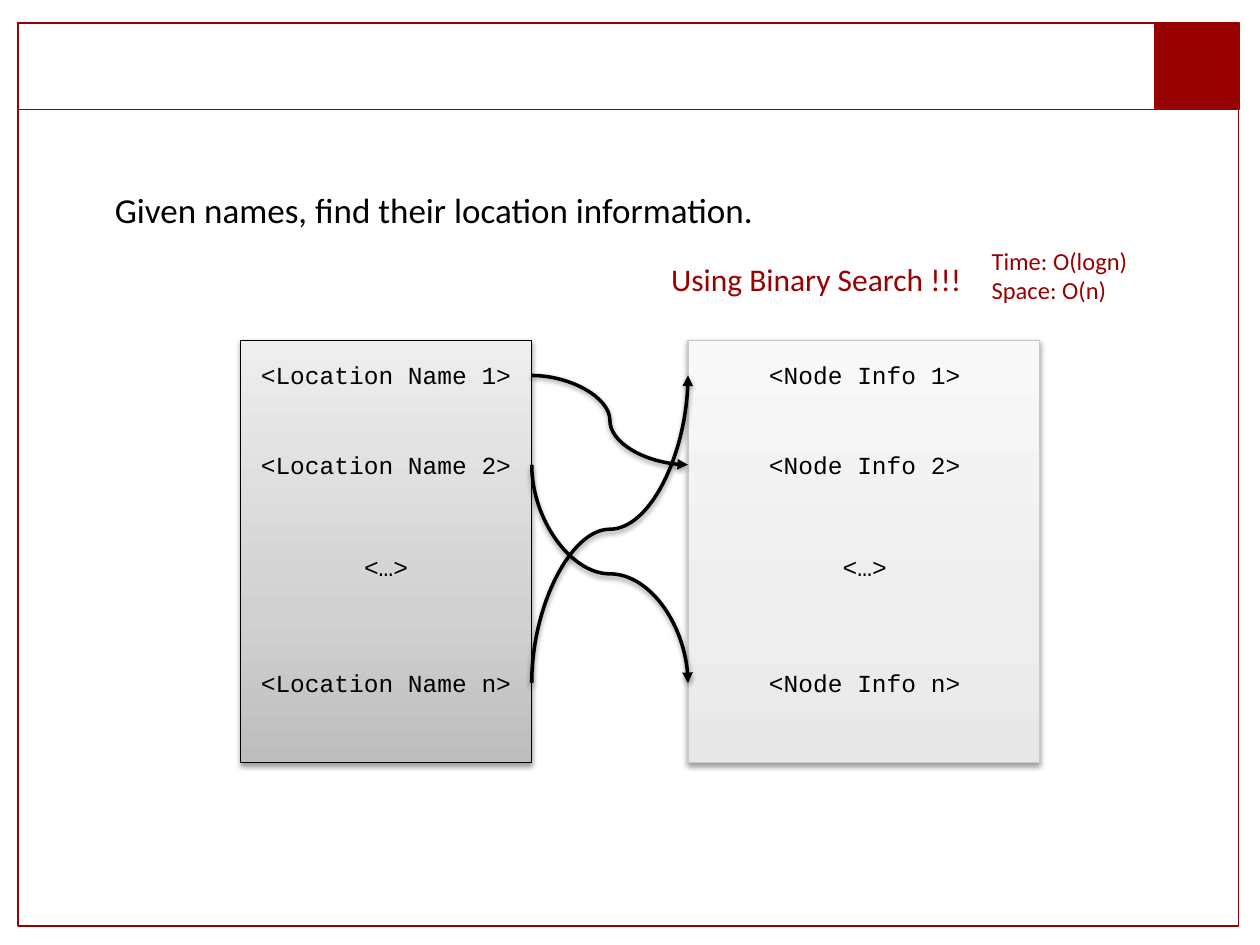
"""Build a slide that maps location names to node information."""
from copy import deepcopy

from lxml.etree import SubElement
from pptx import Presentation
from pptx.dml.color import RGBColor
from pptx.enum.shapes import MSO_CONNECTOR, MSO_SHAPE
from pptx.enum.text import MSO_ANCHOR, PP_ALIGN
from pptx.oxml.ns import qn
from pptx.util import Cm, Pt

HUES = {
    "red": "990000",
    "black": "000000",
    "edge": "C9C9C9",
    "dark": ("BDBDBD", "D1D1D1", "EEEEEE"),
    "light": ("E8E8E8", "EEEEEE", "F8F8F8"),
}
STOPS = (0, 0.35, 1)
ROWS = (7.14, 8.94, 11, 13.34)
ROW_H = 0.86
NAMES = ("<Location Name 1>", "<Location Name 2>", "<…>", "<Location Name n>")
NODES = ("<Node Info 1>", "<Node Info 2>", "<…>", "<Node Info n>")
LINKS = ((0, 1, False), (1, 3, True), (3, 0, True))
LEFT, RIGHT = 10.72, 13.87


def tint(name):
    """Return a named colour."""
    return RGBColor.from_string(HUES[name])


def shade(props):
    """Give shape properties a soft shadow straight below."""
    effects = props.find(qn("a:effectLst"))
    if effects is None:
        effects = SubElement(props, qn("a:effectLst"))
    outer = SubElement(effects, qn("a:outerShdw"), blurRad="40000",
                       dist="20000", dir="5400000", rotWithShape="0")
    hue = SubElement(outer, qn("a:srgbClr"), val=HUES["black"])
    SubElement(hue, qn("a:alpha"), val="38000")


def add_box(slide, place, edge, width, fill=None):
    """Add an outlined rectangle with an optional plain fill."""
    box = slide.shapes.add_shape(MSO_SHAPE.RECTANGLE, *map(Cm, place))
    box.shadow.inherit = False
    box.line.color.rgb = tint(edge)
    box.line.width = Pt(width)
    if fill:
        box.fill.solid()
        box.fill.fore_color.rgb = tint(fill)
    else:
        box.fill.background()
    return box


def add_panel(slide, place, edge, ramp):
    """Add a shadowed rectangle with a three-stop gradient."""
    panel = add_box(slide, place, edge, 0.75)
    panel.fill.gradient()
    panel.fill.gradient_angle = 90
    props = panel._element.spPr
    stops = props.find(".//" + qn("a:gsLst"))
    stops.append(deepcopy(stops[-1]))
    for stop, spot, hue in zip(panel.fill.gradient_stops, STOPS, HUES[ramp]):
        stop.position = spot
        stop.color.rgb = RGBColor.from_string(hue)
    shade(props)


def write(frame, lines, size, hue, font="Calibri", align=PP_ALIGN.LEFT):
    """Write one paragraph per line into a text frame."""
    frame.word_wrap = True
    for i, line in enumerate(lines):
        para = frame.add_paragraph() if i else frame.paragraphs[0]
        para.alignment = align
        run = para.add_run()
        run.text = line
        run.font.size = Pt(size)
        run.font.name = font
        run.font.color.rgb = tint(hue)


def add_text(slide, place, *style):
    """Add a text box with styled lines."""
    box = slide.shapes.add_textbox(*map(Cm, place))
    write(box.text_frame, *style)


def add_list(slide, left, labels):
    """Add one centred label on each row."""
    for top, label in zip(ROWS, labels):
        add_text(slide, (left, top, 5.87, ROW_H), [label], 14, "black",
                 "Courier New", PP_ALIGN.CENTER)


def add_curve(slide, start, end, upright):
    """Add a curved arrow between two rows, turned if it leaves upright."""
    y1, y2 = (ROWS[row] + ROW_H / 2 for row in (start, end))
    ends = (LEFT, y1, RIGHT, y2)
    if upright:
        mid_x, mid_y = (LEFT + RIGHT) / 2, (y1 + y2) / 2
        half_w = abs(y2 - y1) / 2
        half_h = (RIGHT - LEFT) / 2 * (1 if y2 > y1 else -1)
        ends = (mid_x + half_w, mid_y - half_h, mid_x - half_w, mid_y + half_h)
    curve = slide.shapes.add_connector(MSO_CONNECTOR.CURVE, *map(Cm, ends))
    curve.line.color.rgb = tint("black")
    curve.line.width = Pt(2)
    props = curve._element.spPr
    if upright:
        turn = 270 if y2 > y1 else 90
        props.find(qn("a:xfrm")).set("rot", str(turn * 60000))
    SubElement(props.find(qn("a:ln")), qn("a:tailEnd"), type="triangle")
    shade(props)


def add_title(slide, place, text):
    """Place and fill the title."""
    title = slide.shapes.title
    title.left, title.top, title.width, title.height = map(Cm, place)
    title.text_frame.vertical_anchor = MSO_ANCHOR.TOP
    write(title.text_frame, [text], 20, "black")


def main():
    """Build and save the slide."""
    deck = Presentation()
    deck.slide_width, deck.slide_height = Cm(25.4), Cm(19.05)
    slide = deck.slides.add_slide(deck.slide_layouts[5])
    add_box(slide, (0.36, 0.46, 24.61, 18.21), "red", 1)
    add_box(slide, (0.36, 0.46, 24.61, 1.75), "red", 1)
    add_box(slide, (23.29, 0.46, 1.7, 1.75), "red", 1, "red")
    add_panel(slide, (4.85, 6.86, 5.87, 8.51), "black", "dark")
    add_panel(slide, (RIGHT, 6.86, 7.09, 8.51), "edge", "light")
    add_list(slide, 4.85, NAMES)
    add_list(slide, 14.5, NODES)
    for link in LINKS:
        add_curve(slide, *link)
    add_title(slide, (2.06, 3.68, 18.92, 1.12),
              "Given names, find their location information.")
    add_text(slide, (13.28, 5.11, 7.92, 1.02),
             ["Using Binary Search !!!"], 18, "red")
    add_text(slide, (19.74, 4.83, 4.32, 1.45),
             ["Time: O(logn)", "Space: O(n)"], 14, "red")
    deck.save("out.pptx")


if __name__ == "__main__":
    main()
